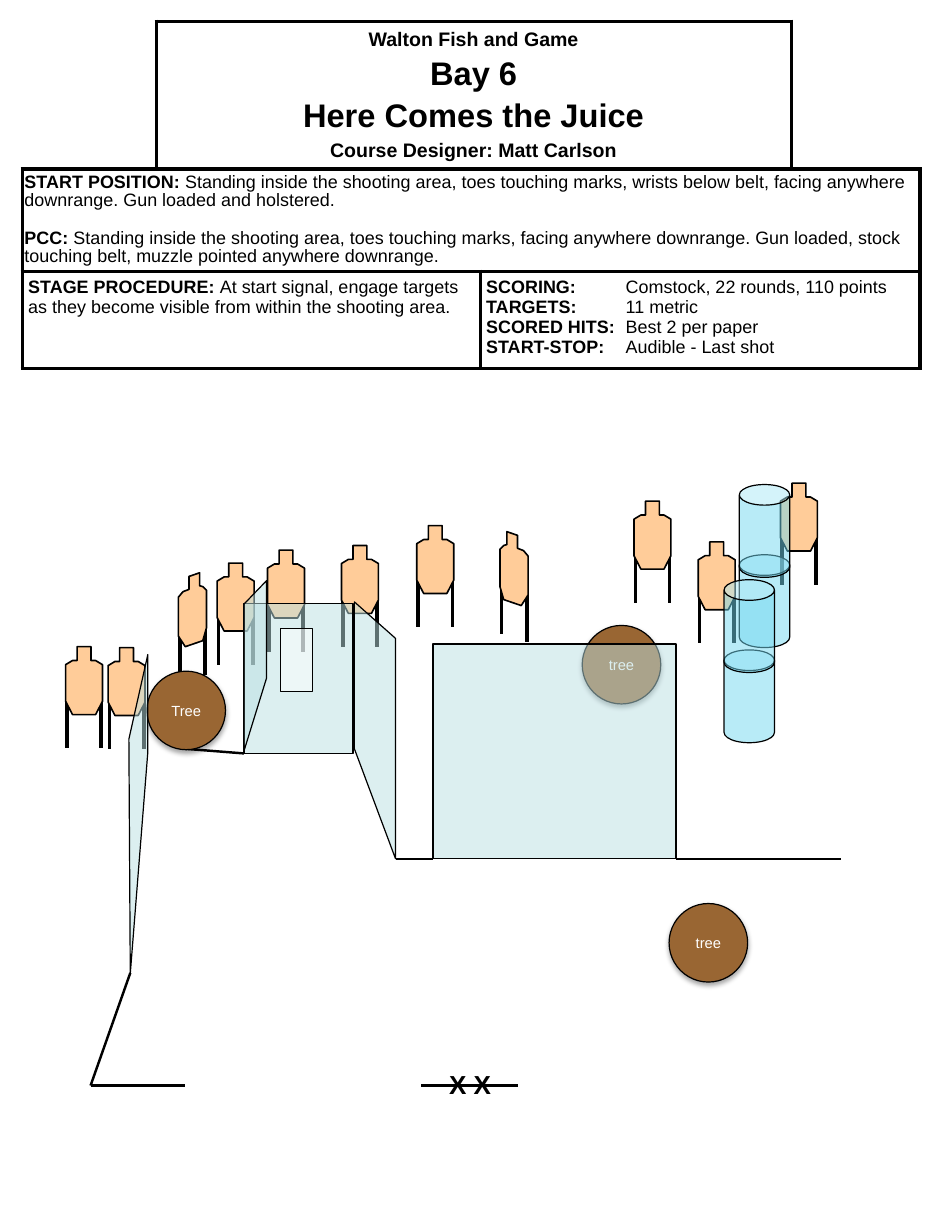
from dataclasses import dataclass

from lxml import etree
from pptx import Presentation
from pptx import util as u
from pptx.dml.color import RGBColor
from pptx.enum import shapes, text
from pptx.oxml.ns import qn


@dataclass(frozen=True)
class Theme:
    font: str = "Arial"
    ink: str = "000000"
    paper: str = "FFFFFF"
    cardboard: str = "FFCC99"
    bark: str = "996633"
    wall: str = "BBE0E3"
    barrel: str = "73D9F1"
    title: float = 20
    subtitle: float = 12
    body: float = 11
    mark: float = 16
    tree: float = 9
    heavy: float = 2.25
    fault: float = 1.5
    outline: float = 1
    thin: float = 0.75


THEME = Theme()

# Outlines and legs (x, top, bottom) in cm from the target's top left corner
FRONT = [(.25, 0), (.55, 0), (.55, .3), (.65, .3), (.8, .39), (.8, 1.18),
         (.65, 1.47), (.15, 1.47), (0, 1.18), (0, .39), (.15, .3), (.25, .3)]
FRONT_LEGS = [(.03, 1.09, 2.2), (.77, 1.09, 2.2)]
ANGLED = [(.23, .08), (.46, 0), (.46, .28), (.53, .3), (.61, .38), (.61, 1.19),
          (.53, 1.47), (.15, 1.6), (0, 1.37), (0, .53), (.1, .41), (.23, .36)]
ANGLED_LEGS = [(.03, 1.3, 2.39), (.58, 1.12, 2.21)]
ANGLED_WIDTH = .61


def rgb(color):
    return RGBColor.from_string(color)


def cm(*values):
    return [u.Cm(value) for value in values]


def style_shape(shape, fill, width=THEME.thin, alpha=None):
    shape.shadow.inherit = False
    shape.fill.solid()
    shape.fill.fore_color.rgb = rgb(fill)
    shape.line.color.rgb = rgb(THEME.ink)
    shape.line.width = u.Pt(width)
    if alpha:
        color = shape._element.spPr.find(qn("a:solidFill"))[0]
        etree.SubElement(color, qn("a:alpha"), val=str(alpha * 1000))


def style_run(run, size, bold=False, color=THEME.ink):
    run.font.name = THEME.font
    run.font.size = u.Pt(size)
    run.font.bold = bold
    run.font.color.rgb = rgb(color)


def add_line(slide, x1, y1, x2, y2, width=THEME.fault):
    line = slide.shapes.add_connector(shapes.MSO_CONNECTOR.STRAIGHT, *cm(x1, y1, x2, y2))
    line.line.color.rgb = rgb(THEME.ink)
    line.line.width = u.Pt(width)
    etree.SubElement(line._element.spPr, qn("a:effectLst"))


def add_preset(slide, kind, box, fill, alpha=None):
    shape = slide.shapes.add_shape(kind, *cm(*box))
    style_shape(shape, fill, alpha=alpha)
    return shape


def add_polygon(slide, points, fill, width=THEME.thin, alpha=None):
    corners = [cm(*point) for point in points]
    builder = slide.shapes.build_freeform(*corners[0])
    builder.add_line_segments(corners[1:], close=True)
    style_shape(builder.convert_to_shape(), fill, width, alpha)


def add_target(slide, x, y, outline=FRONT, legs=FRONT_LEGS):
    for dx, top, bottom in legs:
        add_line(slide, x + dx, y + top, x + dx, y + bottom, THEME.heavy)
    add_polygon(slide, [(x + dx, y + dy) for dx, dy in outline],
                THEME.cardboard, THEME.outline)


def add_tree(slide, x, y, label):
    tree = add_preset(slide, shapes.MSO_SHAPE.OVAL, (x, y, 1.7, 1.7), THEME.bark)
    effects = tree._element.spPr.find(qn("a:effectLst"))
    shadow = etree.SubElement(effects, qn("a:outerShdw"), blurRad="40000",
                              dist="23000", dir="5400000", rotWithShape="0")
    color = etree.SubElement(shadow, qn("a:srgbClr"), val=THEME.ink)
    etree.SubElement(color, qn("a:alpha"), val="35000")
    frame = tree.text_frame
    frame.text = label
    frame.vertical_anchor = text.MSO_ANCHOR.MIDDLE
    frame.paragraphs[0].alignment = text.PP_ALIGN.CENTER
    style_run(frame.paragraphs[0].runs[0], THEME.tree, color=THEME.paper)


def set_borders(cell, sides):
    props = cell._tc.get_or_add_tcPr()
    for place, side in enumerate("LRTB"):
        edge = etree.Element(qn("a:ln" + side), w=str(u.Pt(THEME.heavy)))
        if side in sides:
            fill = etree.SubElement(edge, qn("a:solidFill"))
            etree.SubElement(fill, qn("a:srgbClr"), val=THEME.ink)
        else:
            etree.SubElement(edge, qn("a:noFill"))
        props.insert(place, edge)


def set_margins(cell, across, down):
    cell.margin_left = cell.margin_right = u.Cm(across)
    cell.margin_top = cell.margin_bottom = u.Cm(down)


def write_entries(cell, entries, gap=0, spacing=None, tab=None):
    """Write one paragraph per (bold heading, plain words) pair."""
    for i, (heading, words) in enumerate(entries):
        paragraph = cell.text_frame.paragraphs[0] if i == 0 else cell.text_frame.add_paragraph()
        if spacing:
            paragraph.line_spacing = spacing
        if i and gap:
            paragraph.space_before = u.Pt(gap)
        if tab:
            tabs = etree.SubElement(paragraph._p.get_or_add_pPr(), qn("a:tabLst"))
            etree.SubElement(tabs, qn("a:tab"), pos=str(u.Cm(tab)), algn="l")
        for part, bold in ((heading, True), (words, False)):
            run = paragraph.add_run()
            run.text = part
            style_run(run, THEME.body, bold)


def add_briefing(slide):
    columns, rows = (2.9, 7.01, 6.73, 2.79), (3.2, 2.21, 2.11)
    table = slide.shapes.add_table(len(rows), len(columns),
                                   *cm(.48, .46, sum(columns), sum(rows))).table
    table.first_row = table.horz_banding = False
    for column, width in zip(table.columns, columns):
        column.width = u.Cm(width)
    for row, height in zip(table.rows, rows):
        row.height = u.Cm(height)
    corner_sides = {(0, 0): "RB", (0, 3): "LB"}
    for r in range(len(rows)):
        for c in range(len(columns)):
            cell = table.cell(r, c)
            cell.fill.solid()
            cell.fill.fore_color.rgb = rgb(THEME.paper)
            set_borders(cell, corner_sides.get((r, c), "LRTB"))
            set_margins(cell, .13, .13)
    for first, last in (((0, 1), (0, 2)), ((1, 0), (1, 3)), ((2, 0), (2, 1)), ((2, 2), (2, 3))):
        table.cell(*first).merge(table.cell(*last))

    # Heading
    heading = table.cell(0, 1)
    heading.vertical_anchor = text.MSO_ANCHOR.MIDDLE
    heading.text_frame.text = ("Walton Fish and Game\nBay 6\nHere Comes the Juice\n"
                               "Course Designer: Matt Carlson")
    sizes = (THEME.subtitle, THEME.title, THEME.title, THEME.subtitle)
    for i, (paragraph, size) in enumerate(zip(heading.text_frame.paragraphs, sizes)):
        paragraph.alignment = text.PP_ALIGN.CENTER
        if i:
            paragraph.space_before = u.Pt(3.3)
        style_run(paragraph.runs[0], size, True)

    # Start position, procedure and scoring
    start = table.cell(1, 0)
    set_margins(start, .05, .1)
    write_entries(start, [
        ("START POSITION:", " Standing inside the shooting area, toes touching marks, wrists "
         "below belt, facing anywhere downrange. Gun loaded and holstered."),
        ("PCC: ", "Standing inside the shooting area, toes touching marks, facing anywhere "
         "downrange. Gun loaded, stock touching belt, muzzle pointed anywhere downrange."),
    ], gap=12.5, spacing=.9)
    write_entries(table.cell(2, 0), [
        ("STAGE PROCEDURE: ", "At start signal, engage targets as they become visible "
         "from within the shooting area.")])
    write_entries(table.cell(2, 2), [
        ("SCORING:", "\tComstock, 22 rounds, 110 points"), ("TARGETS:", "\t11 metric"),
        ("SCORED HITS:", "\tBest 2 per paper"), ("START-STOP:", "\tAudible - Last shot"),
    ], tab=3.02)


def add_start_marks(slide):
    marks = slide.shapes.add_textbox(*cm(9.47, 23.01, 1.47, .94)).text_frame
    marks.word_wrap = False
    marks.text = "X X"
    style_run(marks.paragraphs[0].runs[0], THEME.mark, True)


def main():
    deck = Presentation()
    deck.slide_width, deck.slide_height = cm(20.32, 26.67)
    slide = deck.slides.add_slide(deck.slide_layouts[6])
    add_briefing(slide)

    # Targets
    for x, y in ((16.89, 10.46), (7.39, 11.81), (5.79, 11.91), (4.7, 12.19), (2.34, 14.02),
                 (1.42, 14), (15.11, 11.73), (9.02, 11.38), (13.72, 10.85)):
        add_target(slide, x, y)
    add_target(slide, 3.86, 12.4, ANGLED, ANGLED_LEGS)
    add_target(slide, 10.82, 11.51, [(ANGLED_WIDTH - x, y) for x, y in ANGLED],
               [(ANGLED_WIDTH - x, top, bottom) for x, top, bottom in ANGLED_LEGS])

    # Fault lines and start marks
    for ends in ((8.56, 18.59, 9.37, 18.59), (4.01, 16.21, 5.28, 16.31),
                 (1.96, 23.5, 2.82, 21.06), (1.96, 23.5, 4.01, 23.5),
                 (14.63, 18.59, 18.21, 18.59), (9.12, 23.5, 11.2, 23.5)):
        add_line(slide, *ends)
    add_start_marks(slide)

    # Barrel stacks, lower barrel first
    for x, top in ((16, 10.49), (15.67, 12.55)):
        for y in (top + 1.52, top):
            barrel = add_preset(slide, shapes.MSO_SHAPE.CAN, (x, y, 1.09, 2.01), THEME.barrel, 50)
            barrel.adjustments[0] = .41

    # Trees
    for x, y, label in ((3.18, 14.53, "Tree"), (12.6, 13.54, "tree"), (14.48, 19.56, "tree")):
        add_tree(slide, x, y, label)

    # Walls and window
    for box, fill in (((5.28, 13.06, 2.36, 3.25), THEME.wall),
                      ((6.07, 13.61, .69, 1.37), THEME.paper),
                      ((9.37, 13.94, 5.26, 4.65), THEME.wall)):
        add_preset(slide, shapes.MSO_SHAPE.RECTANGLE, box, fill, 50)
    for corners in (((3.2, 16.28), (2.82, 21.08), (2.79, 16), (3.2, 14.17)),
                    ((5.77, 14.68), (5.28, 16.26), (5.28, 13.08), (5.77, 12.57)),
                    ((7.67, 16.21), (8.56, 18.59), (8.56, 13.82), (7.67, 13.03))):
        add_polygon(slide, corners, THEME.wall, alpha=50)

    deck.save("out.pptx")


if __name__ == "__main__":
    main()
